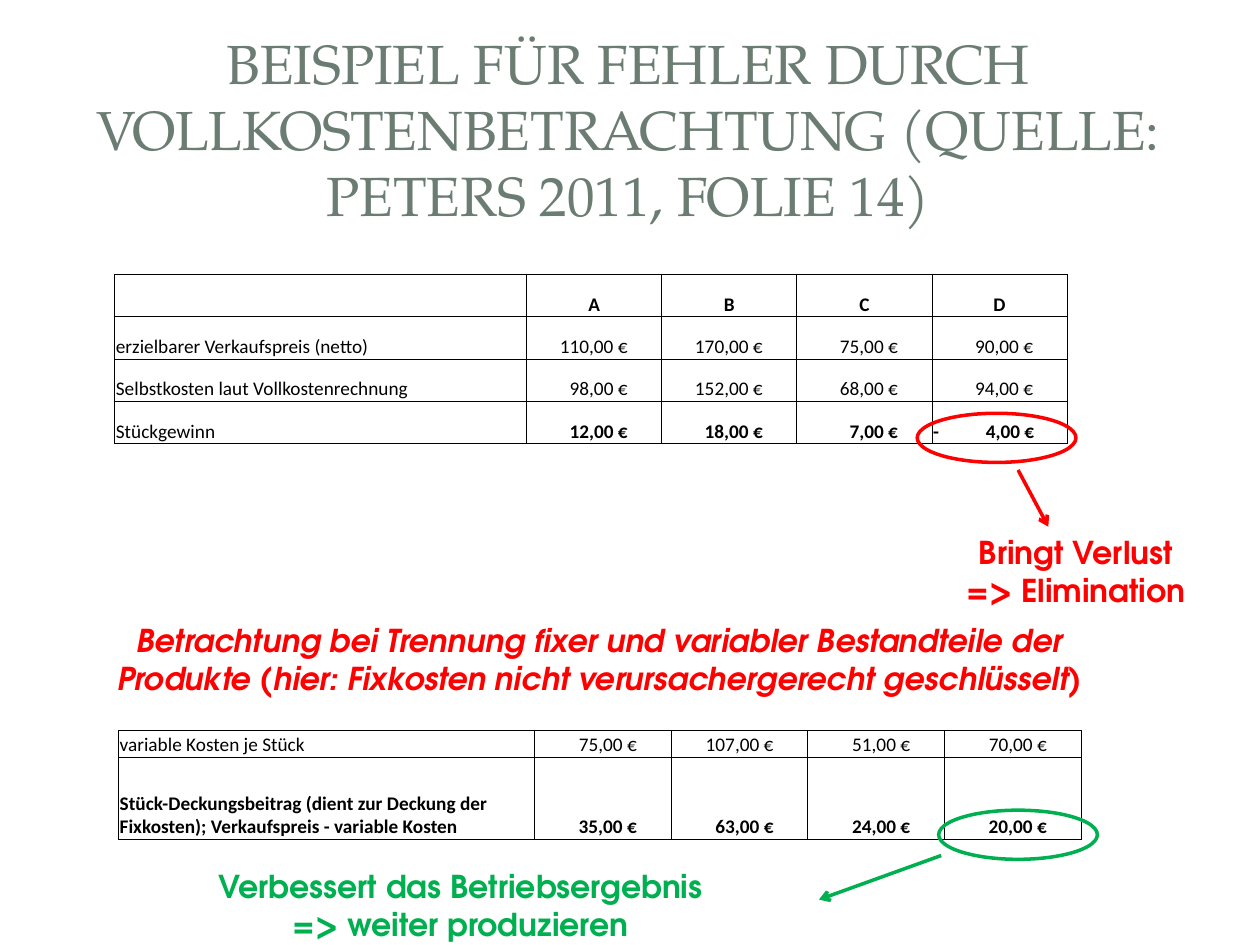
from collections import namedtuple
from dataclasses import dataclass

from lxml.etree import SubElement
from pptx import Presentation
from pptx.dml.color import RGBColor
from pptx.enum.shapes import MSO_CONNECTOR as Connector, MSO_SHAPE as Shape
from pptx.enum.text import MSO_ANCHOR as Anchor, PP_ALIGN as Align
from pptx.oxml.ns import qn
from pptx.util import Inches, Pt

Box = namedtuple("Box", "left top width height")


@dataclass(frozen=True)
class Theme:
    """Colours, fonts and sizes of the slide."""
    title_color: str = "6B7D72"
    ink: str = "000000"
    loss: str = "FF0000"
    gain: str = "00B050"
    title_font: str = "TeX Gyre Pagella"
    note_font: str = "TeX Gyre Adventor"
    table_font: str = "Calibri"
    title_size: float = 31.5
    note_size: float = 18
    table_size: float = 11
    grid_width: float = 0.5
    mark_width: float = 2


THEME = Theme()


def write(frame, text, font, size, color, align=Align.CENTER, bold=False, italic=False):
    """Fill a text frame, one paragraph for each line of the text."""
    for index, line in enumerate(text.split("\n")):
        para = frame.add_paragraph() if index else frame.paragraphs[0]
        para.alignment = align
        span = para.add_run()
        span.text = line
        span.font.name, span.font.size = font, Pt(size)
        span.font.bold, span.font.italic = bold, italic
        span.font.color.rgb = RGBColor.from_string(color)


def add_text(page, box, text, anchor=Anchor.TOP, **style):
    """Place a wrapped text box."""
    frame = page.shapes.add_textbox(*map(Inches, box)).text_frame
    frame.word_wrap = True
    frame.vertical_anchor = anchor
    write(frame, text, **style)


def add_note(page, box, text, color, italic=False):
    """Place a bold coloured remark."""
    add_text(page, box, text, font=THEME.note_font, size=THEME.note_size,
             color=color, bold=True, italic=italic)


def draw_borders(cell):
    """Give a cell thin lines on all four sides."""
    props = cell._tc.get_or_add_tcPr()
    for position, side in enumerate(("lnL", "lnR", "lnT", "lnB")):
        line = props.makeelement(qn(f"a:{side}"), {"w": str(Pt(THEME.grid_width))})
        fill = SubElement(line, qn("a:solidFill"))
        SubElement(fill, qn("a:srgbClr"), val=THEME.ink)
        props.insert(position, line)


def add_tab_stop(para, position):
    """Add a right-aligned tab stop to a paragraph."""
    stops = SubElement(para._p.get_or_add_pPr(), qn("a:tabLst"))
    SubElement(stops, qn("a:tab"), pos=str(Inches(position)), algn="r")


def fill_cell(cell, text, column, width, header, bold):
    """Format one cell, setting amounts at a common right edge."""
    amount_inset = 0.27
    amount = column > 0 and not header
    signed = "\t" in text
    cell.fill.background()
    draw_borders(cell)
    cell.vertical_anchor = Anchor.BOTTOM
    cell.margin_left = cell.margin_top = Inches(0.01)
    cell.margin_right = Inches(amount_inset if amount and not signed else 0.01)
    cell.margin_bottom = 0
    align = Align.CENTER if header else Align.RIGHT if amount and not signed else Align.LEFT
    write(cell.text_frame, text, THEME.table_font, THEME.table_size, THEME.ink, align, bold)
    if signed:
        add_tab_stop(cell.text_frame.paragraphs[0], width - amount_inset)


def add_cost_table(page, box, label_width, heights, rows, bold_cells, has_header=False):
    """Place a table with a label column and equal amount columns."""
    columns = len(rows[0])
    table = page.shapes.add_table(len(rows), columns, *map(Inches, box)).table
    table.first_row = table.horz_banding = False
    amount_width = (box.width - label_width) / (columns - 1)
    for index, column in enumerate(table.columns):
        column.width = Inches(amount_width if index else label_width)
    for row, (height, values) in enumerate(zip(heights, rows)):
        table.rows[row].height = Inches(height)
        for column, text in enumerate(values):
            fill_cell(table.cell(row, column), text, column, amount_width,
                      has_header and row == 0, (row, column) in bold_cells)


def add_mark(page, box, start, end, color):
    """Ring a value and point an arrow towards its remark."""
    ring = page.shapes.add_shape(Shape.OVAL, *map(Inches, box))
    ring.shadow.inherit = False
    ring.fill.background()
    arrow = page.shapes.add_connector(Connector.STRAIGHT, *map(Inches, start + end))
    for item in (ring, arrow):
        item.line.color.rgb = RGBColor.from_string(color)
        item.line.width = Pt(THEME.mark_width)
    SubElement(arrow.line._get_or_add_ln(), qn("a:tailEnd"), type="arrow")
    SubElement(arrow._element.spPr, qn("a:effectLst"))


def add_full_cost(page, box):
    """Place the full-cost table with its loss mark and remark."""
    rows = [
        ("", "A", "B", "C", "D"),
        ("erzielbarer Verkaufspreis (netto)", "110,00 €", "170,00 €", "75,00 €", "90,00 €"),
        ("Selbstkosten laut Vollkostenrechnung", "98,00 €", "152,00 €", "68,00 €", "94,00 €"),
        ("Stückgewinn", "12,00 €", "18,00 €", "7,00 €", "-\t4,00 €"),
    ]
    left, top = box.left, box.top
    bold = {(row, column) for row in (0, 3) for column in range(1, 5)}
    add_cost_table(page, Box(left, top, 7.56, 1.34), 3.27, [1.34 / 4] * 4, rows, bold, True)
    add_mark(page, Box(left + 6.37, top + 1.1, 1.26, 0.39),
             (left + 7.17, top + 1.55), (left + 7.41, top + 2), THEME.loss)
    add_note(page, Box(left + box.width - 2.44, top + 2, 2.44, 0.71),
             "Bringt Verlust\n=> Elimination", THEME.loss)


def add_contribution(page, box):
    """Place the contribution table with its gain mark and remark."""
    rows = [
        ("variable Kosten je Stück", "75,00 €", "107,00 €", "51,00 €", "70,00 €"),
        ("Stück-Deckungsbeitrag (dient zur Deckung der Fixkosten); "
         "Verkaufspreis - variable Kosten", "35,00 €", "63,00 €", "24,00 €", "20,00 €"),
    ]
    left, top = box.left, box.top
    bold = {(1, column) for column in range(5)}
    add_cost_table(page, Box(left, top, box.width, 0.86), 3.3, (0.21, 0.65), rows, bold)
    add_mark(page, Box(left + 6.51, top + 0.63, 1.26, 0.39),
             (left + 6.53, top + 0.99), (left + 5.56, top + 1.34), THEME.gain)
    add_note(page, Box(left + 0.04, top + 1.03, 5.35, 0.71),
             "Verbessert das Betriebsergebnis\n=> weiter produzieren", THEME.gain)


def main():
    """Build the slide and save the deck."""
    deck = Presentation()
    deck.slide_width, deck.slide_height = Inches(10), Inches(7.5)
    page = deck.slides.add_slide(deck.slide_layouts[6])
    add_text(page, Box(0.47, 0.45, 9.03, 1.14),
             "BEISPIEL FÜR FEHLER DURCH VOLLKOSTENBETRACHTUNG (QUELLE: PETERS 2011, FOLIE 14)",
             Anchor.MIDDLE, font=THEME.title_font, size=THEME.title_size,
             color=THEME.title_color)
    add_full_cost(page, Box(0.91, 2.18, 8.85, 2.71))
    add_note(page, Box(0.43, 4.88, 8.66, 1.01),
             "Betrachtung bei Trennung fixer und variabler Bestandteile der Produkte "
             "(hier: Fixkosten nicht verursachergerecht geschlüsselt)", THEME.loss, italic=True)
    add_contribution(page, Box(0.94, 5.8, 7.64, 1.74))
    deck.save("out.pptx")


if __name__ == "__main__":
    main()
